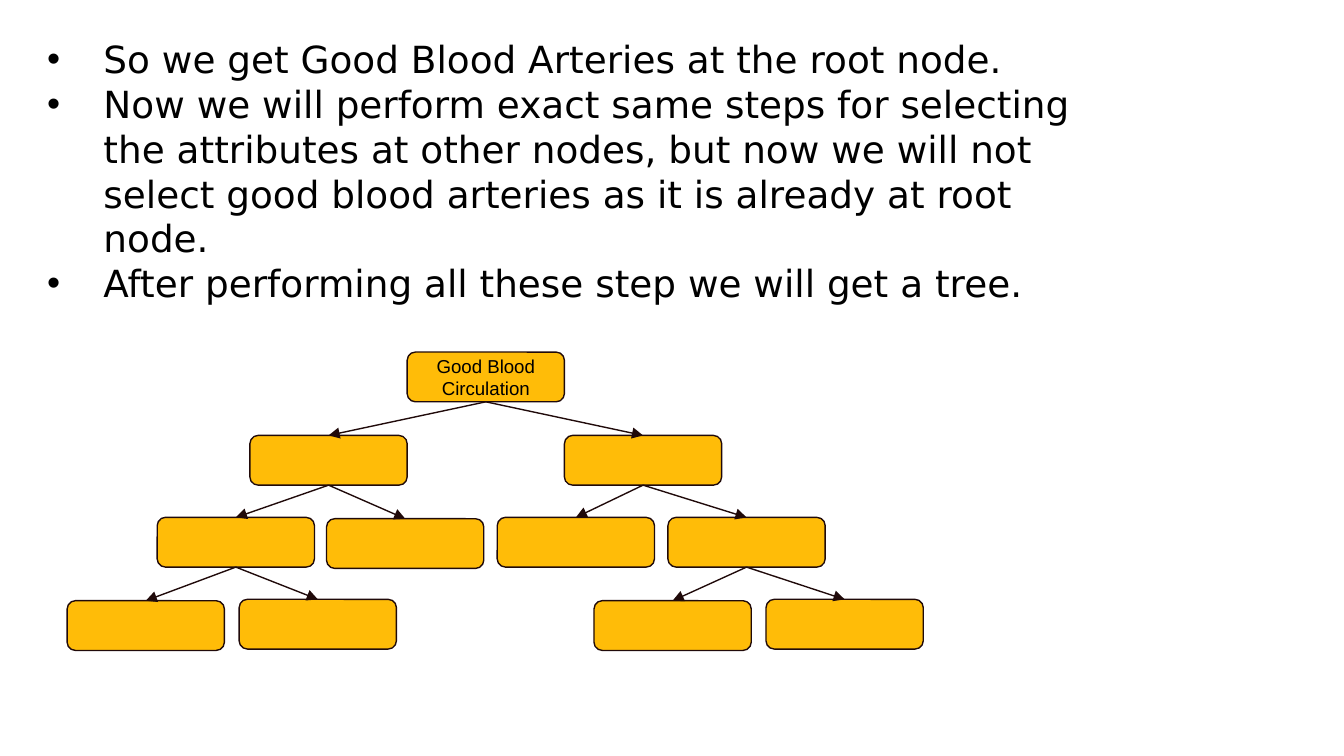
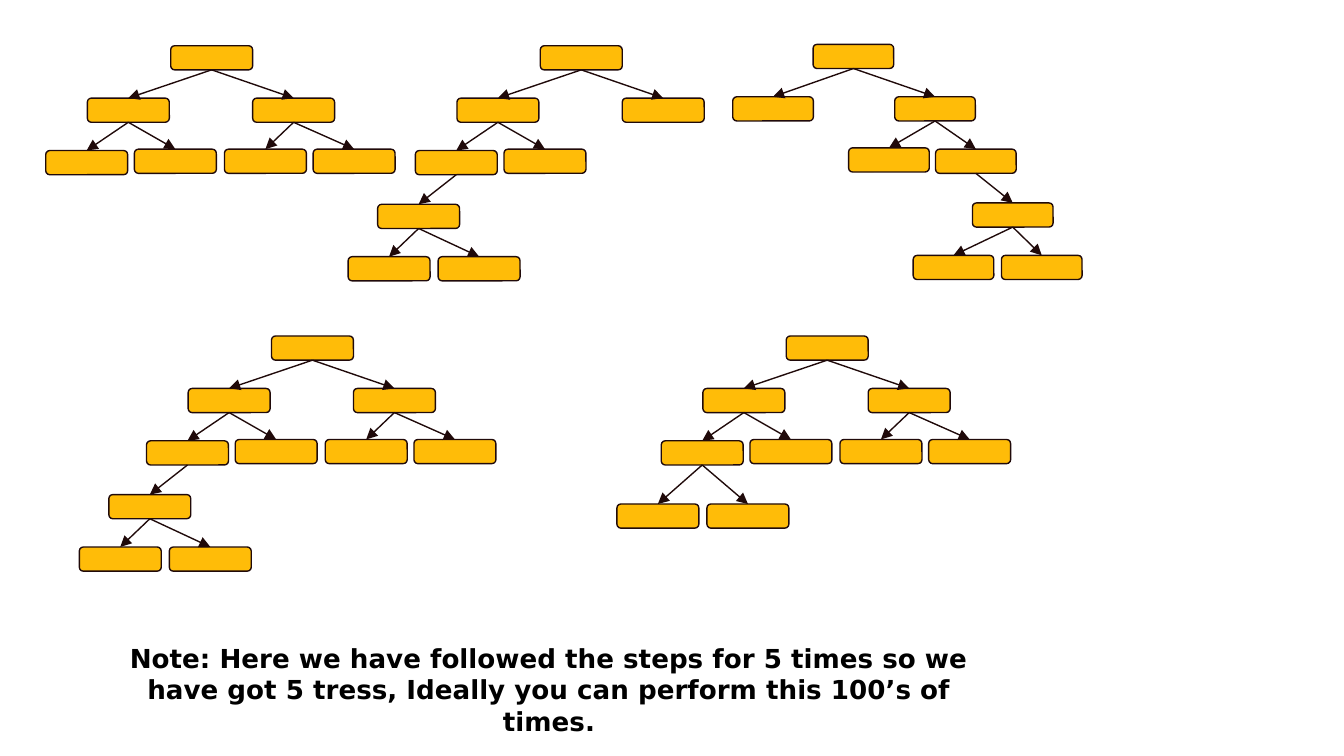
from pptx import Presentation
from pptx import util as u
from pptx.dml.color import RGBColor
from pptx.enum import shapes, text
from pptx.oxml import parse_xml
from pptx.oxml.ns import nsdecls, qn

INK = {"box": "FFBC08", "edge": "200A0A", "text": "000000"}
NODE = shapes.MSO_SHAPE.ROUNDED_RECTANGLE
LINE = shapes.MSO_CONNECTOR.STRAIGHT
NS = nsdecls("a")
PAD = ("margin_left", "margin_top", "margin_right", "margin_bottom")


def fill_text(frame, lines, pads, font, **marks):
    """Write lines into frame; marks are paragraph attributes."""
    frame.word_wrap = True
    frame.auto_size = text.MSO_AUTO_SIZE.NONE
    for side, pad in zip(PAD, pads):
        setattr(frame, side, u.Inches(pad))
    for i, line in enumerate(lines):
        para = frame.paragraphs[0] if i == 0 else frame.add_paragraph()
        para.text = line
        for name, value in marks.items():
            setattr(para, name, value)
        for name, value in font.items():
            setattr(para.runs[0].font, name, value)
        para.runs[0].font.color.rgb = RGBColor.from_string(INK["text"])


def draw_tree(slide, root, size, spots, flip=1):
    """Draw boxes at offsets from root; each key is the path of l/r turns."""
    boxes = {}
    for key, (dx, dy) in {"": (0, 0), **spots}.items():
        place = (root[0] + flip * dx, root[1] + dy, *size)
        box = slide.shapes.add_shape(NODE, *map(u.Inches, place))
        box.shadow.inherit = False
        box.fill.solid()
        box.fill.fore_color.rgb = RGBColor.from_string(INK["box"])
        box.line.color.rgb = RGBColor.from_string(INK["edge"])
        box.line.width = u.Pt(0.75)
        boxes[key] = box
    for key in spots:
        link = slide.shapes.add_connector(LINE, 0, 0, 0, 0)
        link.begin_connect(boxes[key[:-1]], 2)
        link.end_connect(boxes[key], 0)
        link.line.color.rgb = RGBColor.from_string(INK["edge"])
        link.line.width = u.Pt(0.75)
        props = link._element.spPr
        props.find(qn("a:ln")).append(parse_xml(f'<a:tailEnd {NS} type="triangle"/>'))
        props.append(parse_xml(f"<a:effectLst {NS}/>"))
    return boxes[""]


deck = Presentation()
deck.slide_width, deck.slide_height = u.Inches(10), u.Inches(10 * 9 / 16)

# Slide 1: steps and the resulting tree
slide = deck.slides.add_slide(deck.slide_layouts[1])
title = slide.shapes.title._element
title.getparent().remove(title)
body = slide.placeholders[1]
place = {"left": 0.17, "top": 0.22, "width": 7.92, "height": 2.16}
for name, value in place.items():
    setattr(body, name, u.Inches(value))
steps = [
    "So we get Good Blood Arteries at the root node.",
    "Now we will perform exact same steps for selecting the attributes at other "
    "nodes, but now we will not select good blood arteries as it is already at "
    "root node.",
    "After performing all these step we will get a tree.",
]
fill_text(body.text_frame, steps, (0.1, 0.05, 0.1, 0.05),
          {"size": u.Pt(20), "name": "DejaVu Sans"}, space_before=u.Pt(0))
for para in body.text_frame.paragraphs:
    props = para._p.get_or_add_pPr()
    props.set("marL", str(u.Inches(0.5)))
    props.set("indent", str(u.Inches(-0.42)))
    for tag in (f'<a:buClr {NS}><a:srgbClr val="{INK["text"]}"/></a:buClr>',
                f'<a:buFont {NS} typeface="Arial"/>',
                f'<a:buChar {NS} char="•"/>'):
        props.append(parse_xml(tag))

root = draw_tree(slide, (3.03, 2.62), (1.17, 0.37), {
    "l": (-1.17, 0.62), "r": (1.17, 0.62),
    "ll": (-1.86, 1.23), "lr": (-0.6, 1.24),
    "rl": (0.67, 1.23), "rr": (1.94, 1.23),
    "lll": (-2.53, 1.85), "llr": (-1.25, 1.84),
    "rrl": (1.39, 1.85), "rrr": (2.67, 1.84),
})
root.text_frame.vertical_anchor = text.MSO_ANCHOR.MIDDLE
fill_text(root.text_frame, ["Good Blood Circulation"], (0.1,) * 4,
          {"size": u.Pt(10), "name": "Arial"}, alignment=text.PP_ALIGN.CENTER)

# Slide 2: five trees and a note
slide = deck.slides.add_slide(deck.slide_layouts[6])
top = {"l": (-0.62, 0.39), "r": (0.61, 0.39)}
left = {"ll": (-0.93, 0.78), "lr": (-0.27, 0.77)}
right = {"rl": (0.4, 0.77), "rr": (1.06, 0.77)}
chain = {"lll": (-1.21, 1.18), "llll": (-1.43, 1.57), "lllr": (-0.76, 1.57)}
pair = {"lll": (-1.26, 1.25), "llr": (-0.59, 1.25)}
trees = [
    ((1.27, 0.34), 0.61, 1, top | left | right),
    ((4.02, 0.34), 0.61, 1, top | left | chain),
    ((6.05, 0.33), 0.6, -0.98, top | left | chain),
    ((2.02, 2.5), 0.61, 1, top | left | right | chain),
    ((5.85, 2.5), 0.61, 1, top | left | right | pair),
]
for start, width, flip, spots in trees:
    draw_tree(slide, start, (width, 0.18), spots, flip)

note = slide.shapes.add_textbox(*map(u.Inches, (0.63, 4.68, 6.91, 0.71)))
fill_text(note.text_frame,
          ["Note: Here we have followed the steps for 5 times so we have got 5 "
           "tress, Ideally you can perform this 100’s of times."],
          (0.1,) * 4, {"size": u.Pt(14), "name": "DejaVu Sans", "bold": True},
          alignment=text.PP_ALIGN.CENTER)

deck.save("out.pptx")
